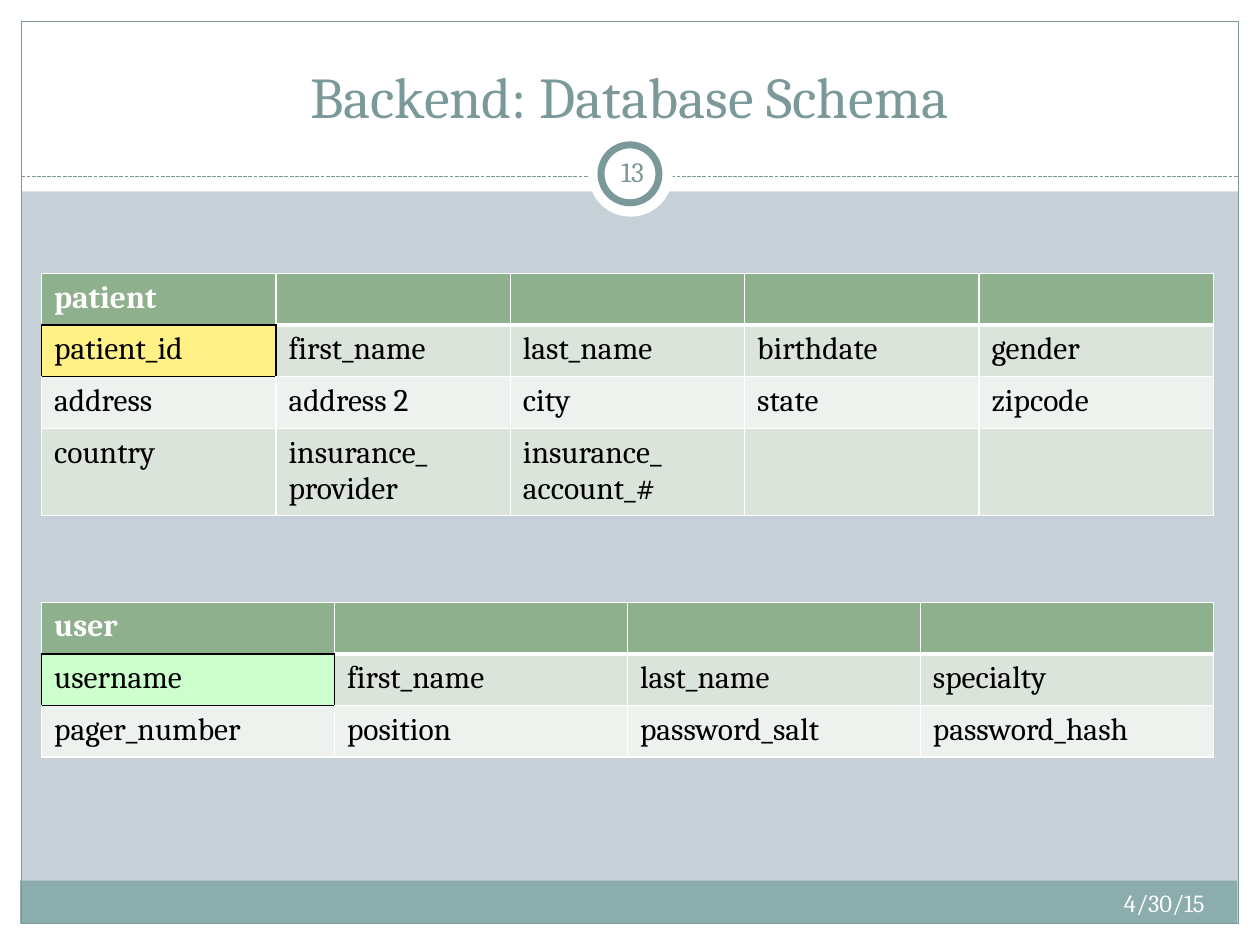
from lxml import etree
from pptx import Presentation
from pptx import util as u
from pptx.dml.color import RGBColor
from pptx.enum import dml, shapes, text
from pptx.oxml.ns import qn

WHITE = RGBColor(0xFF, 0xFF, 0xFF)
BLACK = RGBColor(0, 0, 0)
SLATE = RGBColor(0x7C, 0x99, 0x9A)
TEAL = RGBColor(0x8C, 0xAD, 0xAE)
MIST = RGBColor(0xC5, 0xD1, 0xD7)
GREEN = RGBColor(0x8F, 0xB0, 0x8C)
SAGE = RGBColor(0xDB, 0xE4, 0xDA)
PALE = RGBColor(0xEE, 0xF2, 0xEE)
YELLOW = RGBColor(0xFF, 0xF1, 0x85)
MINT = RGBColor(0xCC, 0xFF, 0xCC)


def write(frame, words, size, color, align=text.PP_ALIGN.LEFT, bold=False):
    para = frame.paragraphs[0]
    para.alignment = align
    run = para.add_run()
    run.text = words
    form = {"name": "Cambria", "size": u.Pt(size), "bold": bold}
    for key, value in form.items():
        setattr(run.font, key, value)
    run.font.color.rgb = color


def edge(cell, side, color, width):
    line = etree.SubElement(cell._tc.get_or_add_tcPr(), qn("a:ln" + side), w=str(u.Pt(width)))
    fill = etree.SubElement(line, qn("a:solidFill"))
    etree.SubElement(fill, qn("a:srgbClr"), val=str(color))


deck = Presentation()
deck.slide_width, deck.slide_height = u.Inches(10), u.Inches(7.5)
slide = deck.slides.add_slide(deck.slide_layouts[6])
slide.background.fill.solid()
slide.background.fill.fore_color.rgb = MIST

RECT, OVAL = shapes.MSO_SHAPE.RECTANGLE, shapes.MSO_SHAPE.OVAL
parts = [
    (RECT, (0, 7.33, 10, 0.17), WHITE, 0),
    (RECT, (0, 0, 10, 1.52), WHITE, 0),
    (RECT, (0, 0, 0.17, 7.5), WHITE, 0),
    (RECT, (9.83, 0, 0.17, 7.5), WHITE, 0),
    (RECT, (0.16, 6.99, 9.66, 0.34), TEAL, 0),
    (RECT, (0.17, 0.17, 9.66, 7.16), None, 0.75),
    (None, (0.17, 1.4, 9.83, 1.4), None, 0.75),
    (OVAL, (4.67, 1.05, 0.67, 0.67), WHITE, 0),
    (OVAL, (4.77, 1.15, 0.46, 0.46), WHITE, 4),
]
for kind, box, fill, width in parts:
    box = [u.Inches(n) for n in box]
    if kind is None:
        rule = slide.shapes.add_connector(shapes.MSO_CONNECTOR.STRAIGHT, *box)
        rule.line.color.rgb = SLATE
        rule.line.width = u.Pt(width)
        rule.line.dash_style = dml.MSO_LINE.SQUARE_DOT
        etree.SubElement(rule._element.spPr, qn("a:effectLst"))
        continue
    part = slide.shapes.add_shape(kind, *box)
    part.shadow.inherit = False
    if fill is None:
        part.fill.background()
    else:
        part.fill.solid()
        part.fill.fore_color.rgb = fill
    if width:
        part.line.color.rgb = SLATE
        part.line.width = u.Pt(width)
    else:
        part.line.fill.background()

tables = [
    (2.17, YELLOW, [0.41, 0.41, 0.41, 0.69], [
        ["patient", "", "", "", ""],
        ["patient_id", "first_name", "last_name", "birthdate", "gender"],
        ["address", "address 2", "city", "state", "zipcode"],
        ["country", "insurance_ provider", "insurance_ account_#", "", ""],
    ]),
    (4.78, MINT, [0.41, 0.41, 0.41], [
        ["user", "", "", ""],
        ["username", "first_name", "last_name", "specialty"],
        ["pager_number", "position", "password_salt", "password_hash"],
    ]),
]
steps = {"L": (0, -1), "R": (0, 1), "T": (-1, 0), "B": (1, 0)}
for top, tint, highs, rows in tables:
    count = len(rows[0])
    grid = slide.shapes.add_table(len(rows), count, u.Inches(0.33), u.Inches(top),
                                  u.Inches(9.3), u.Inches(sum(highs))).table
    for col in grid.columns:
        col.width = u.Inches(9.3 / count)
    for r, row in enumerate(rows):
        grid.rows[r].height = u.Inches(highs[r])
        for c, words in enumerate(row):
            cell = grid.cell(r, c)
            for side, (down, right) in steps.items():
                dark = (1, 0) in ((r, c), (r + down, c + right))
                thick = not dark and (r, side) in ((0, "B"), (1, "T"))
                edge(cell, side, BLACK if dark else WHITE, 3 if thick else 1)
            cell.fill.solid()
            shade = GREEN if r == 0 else SAGE if r % 2 else PALE
            cell.fill.fore_color.rgb = tint if (r, c) == (1, 0) else shade
            if words:
                write(cell.text_frame, words, 18, BLACK if r else WHITE, bold=r == 0)

MID, RIGHT = text.PP_ALIGN.CENTER, text.PP_ALIGN.RIGHT
ANCHOR = text.MSO_ANCHOR
labels = [
    ("Backend: Database Schema", (0.33, 0.25, 9.33, 0.83), 33, SLATE, MID, ANCHOR.BOTTOM, 0.1),
    ("4/30/15", (6.33, 7, 3.33, 0.4), 14, WHITE, RIGHT, ANCHOR.TOP, 0.1),
    ("13", (4.77, 1.12, 0.5, 0.48), 16, SLATE, MID, ANCHOR.MIDDLE, 0.05),
]
for words, box, size, color, align, anchor, inset in labels:
    frame = slide.shapes.add_textbox(*[u.Inches(n) for n in box]).text_frame
    form = {"word_wrap": True, "vertical_anchor": anchor,
            "margin_left": u.Inches(inset), "margin_right": u.Inches(inset),
            "margin_top": u.Inches(0.05), "margin_bottom": u.Inches(0.05)}
    for key, value in form.items():
        setattr(frame, key, value)
    write(frame, words, size, color, align)

deck.save("out.pptx")
